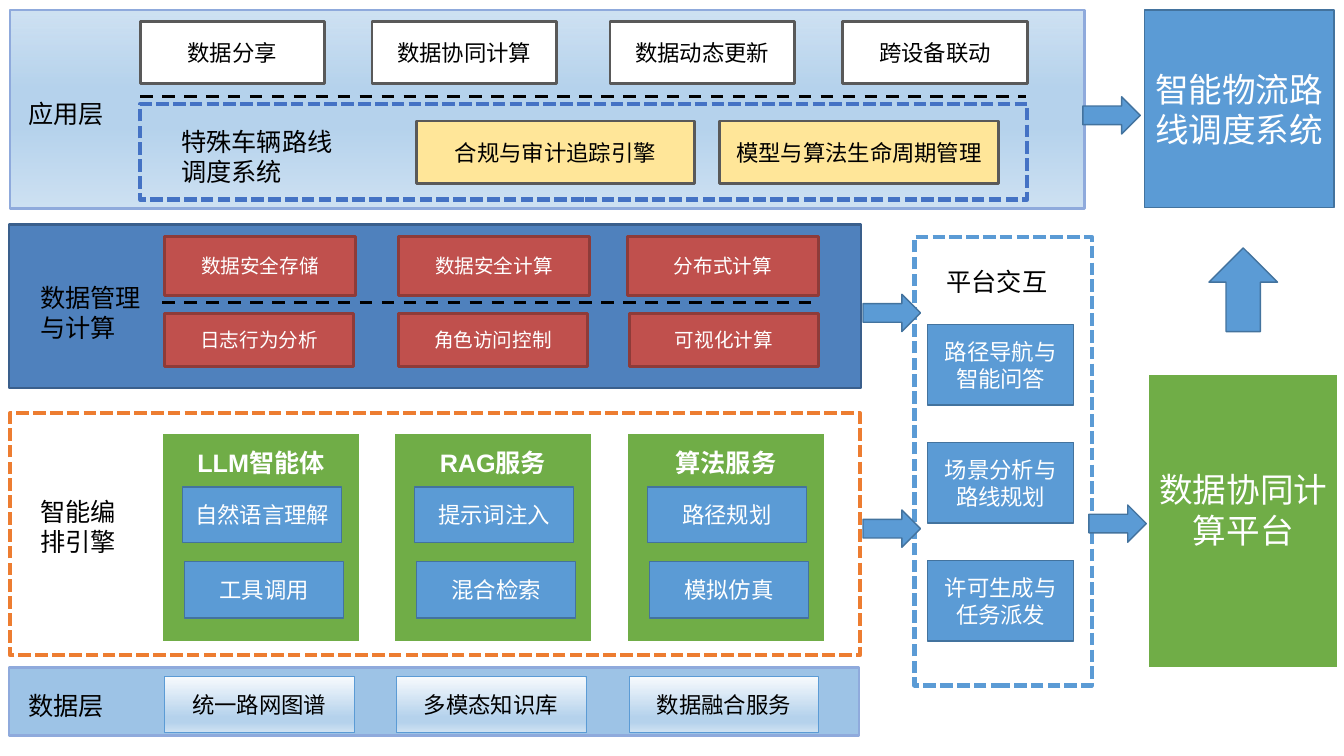
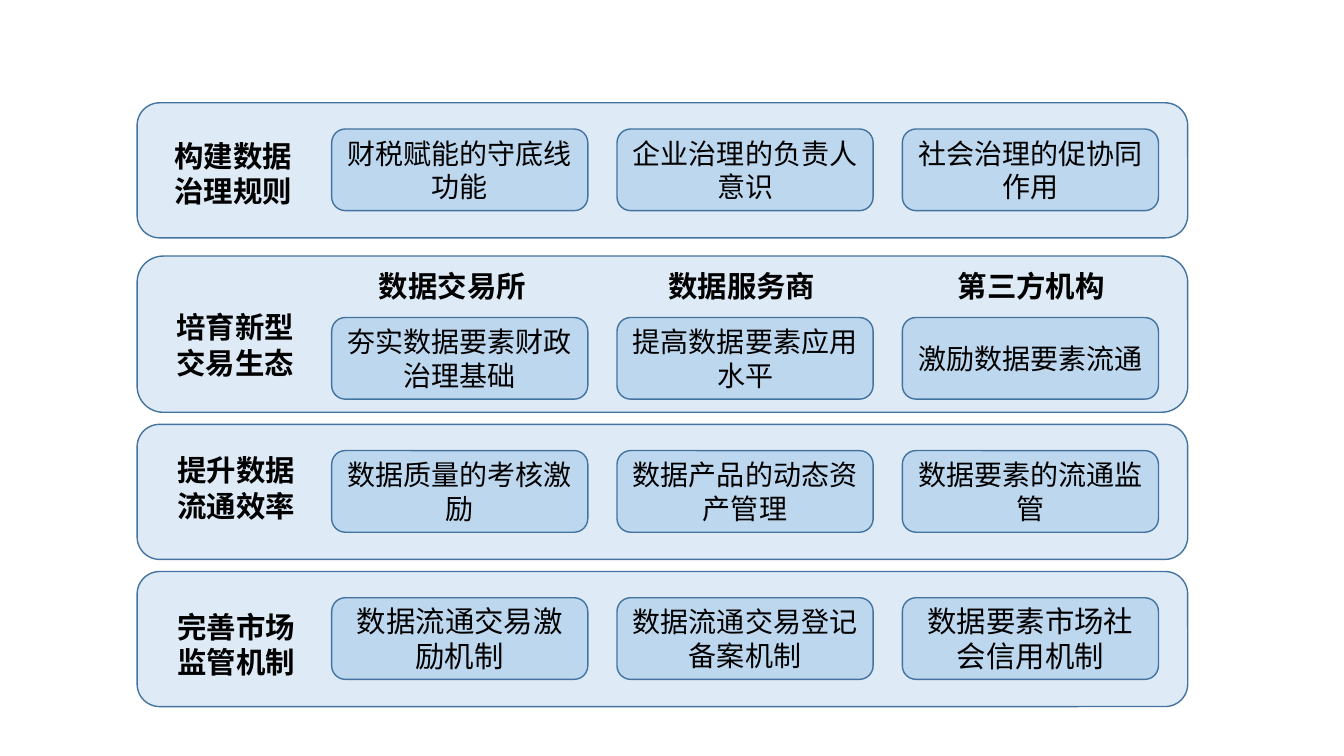
from dataclasses import dataclass

from lxml.etree import SubElement
from pptx import Presentation
from pptx.dml.color import RGBColor
from pptx.enum.dml import MSO_LINE
from pptx.enum.lang import MSO_LANGUAGE_ID
from pptx.enum.shapes import MSO_CONNECTOR, MSO_SHAPE
from pptx.enum.text import MSO_ANCHOR, PP_ALIGN
from pptx.oxml.ns import qn
from pptx.util import Emu, Pt

PX = 9144


@dataclass(frozen=True)
class Theme:
    """Colours, fonts and type sizes shared by both slides."""
    black: str = "000000"
    white: str = "FFFFFF"
    blue: str = "5B9BD5"
    blue_edge: str = "43739E"
    royal: str = "4472C4"
    navy: str = "4F81BD"
    navy_edge: str = "3A5F8C"
    red: str = "C0504D"
    red_edge: str = "8E3B39"
    green: str = "70AD47"
    orange: str = "ED7D31"
    yellow: str = "FFE699"
    grey: str = "595959"
    sky: str = "9DC3E6"
    sky_edge: str = "8FAADC"
    panel: str = "DEEBF7"
    cell: str = "BDD7EE"
    band_stops: tuple = ((1, "B5D2EC", 65), (40, "B5D2EC", 100),
                         (59, "B5D2EC", 100), (100, "CEE1F2", 100))
    data_stops: tuple = ((0, "F7FAFD", 100), (74, "B5D2EC", 100),
                         (83, "B5D2EC", 100), (100, "CEE1F2", 100))
    sans: str = "Arial"
    plain: str = "DejaVu Sans"
    cjk: str = "Noto Sans CJK SC"
    small: int = 14
    body: int = 16
    label: int = 18
    cell_size: int = 20
    head: int = 21
    big: int = 24


T = Theme()


def px(n):
    """Turn a whole number of px into EMU."""
    return Emu(n * PX)


def write(tf, text, size=T.body, font=T.sans, color=T.white, bold=False,
          align=PP_ALIGN.CENTER, anchor=MSO_ANCHOR.MIDDLE, top=5, bottom=5):
    """Fill a text frame, one paragraph for each line of text."""
    tf.word_wrap = True
    tf.vertical_anchor = anchor
    tf.margin_top, tf.margin_bottom = px(top), px(bottom)
    for i, line in enumerate(text.split("\n")):
        p = tf.add_paragraph() if i else tf.paragraphs[0]
        p.alignment = align
        r = p.add_run()
        r.text = line
        f = r.font
        f.size, f.name, f.bold = Pt(size), font, bold
        f.color.rgb = RGBColor.from_string(color)
        f.language_id = MSO_LANGUAGE_ID.SIMPLIFIED_CHINESE
        SubElement(r._r.get_or_add_rPr(), qn("a:ea")).set("typeface", T.sans)


class Deck:
    """Holds the presentation, its style and the current slide."""

    def __init__(self):
        """Start an empty presentation."""
        self.prs = Presentation()
        self.prs.slide_width, self.prs.slide_height = px(1333), px(750)

    def slide(self):
        """Add a blank slide and make it current."""
        self.s = self.prs.slides.add_slide(self.prs.slide_layouts[6])

    def shape(self, box, fill=None, edge=T.blue_edge, width=1, text="",
              kind=MSO_SHAPE.RECTANGLE, dash=None, **fmt):
        """Draw a preset shape; fill is a colour, gradient stops or None."""
        sp = self.s.shapes.add_shape(kind, *map(px, box))
        sp.shadow.inherit = False
        if fill is None:
            sp.fill.background()
        elif isinstance(fill, str):
            sp.fill.solid()
            sp.fill.fore_color.rgb = RGBColor.from_string(fill)
        else:
            self.gradient(sp, fill)
        self.outline(sp.line, edge, width, dash)
        if text:
            write(sp.text_frame, text, **fmt)

    def gradient(self, sp, stops):
        """Fill a shape with stops running from top to bottom."""
        sp.fill.gradient()
        sp.fill.gradient_angle = 270
        gs_list = sp._element.spPr.find(qn("a:gradFill")).find(qn("a:gsLst"))
        for gs in list(gs_list):
            gs_list.remove(gs)
        for pos, color, alpha in stops:
            gs = SubElement(gs_list, qn("a:gs"), pos=str(pos * 1000))
            clr = SubElement(gs, qn("a:srgbClr"), val=color)
            if alpha < 100:
                SubElement(clr, qn("a:alpha"), val=str(alpha * 1000))

    def outline(self, line, color, width, dash=None):
        """Set the colour, width and dash of a line."""
        line.color.rgb = RGBColor.from_string(color)
        line.width = Pt(width)
        if dash:
            line.dash_style = dash

    def frame(self, box, color):
        """Draw an unfilled dashed frame."""
        self.shape(box, edge=color, width=3, dash=MSO_LINE.SQUARE_DOT)

    def chip(self, box, text):
        """Draw a blue box with white text."""
        self.shape(box, T.blue, text=text)

    def arrow(self, box, kind=MSO_SHAPE.RIGHT_ARROW):
        """Draw a blue block arrow."""
        self.shape(box, T.blue, kind=kind)

    def rule(self, x1, x2, y):
        """Draw a horizontal dashed divider."""
        c = self.s.shapes.add_connector(MSO_CONNECTOR.STRAIGHT,
                                        px(x1), px(y), px(x2), px(y))
        self.outline(c.line, T.black, 2.25, MSO_LINE.DASH)
        SubElement(c._element.spPr, qn("a:effectLst"))

    def label(self, box, text, **fmt):
        """Write a left-aligned text box."""
        fmt = {"size": T.label, "font": T.cjk, **fmt}
        tf = self.s.shapes.add_textbox(*map(px, box)).text_frame
        write(tf, text, color=T.black, align=PP_ALIGN.LEFT,
              anchor=MSO_ANCHOR.TOP, **fmt)

    def rounded(self, box, fill, text="", **fmt):
        """Draw a rounded box with black text."""
        self.shape(box, fill, text=text, kind=MSO_SHAPE.ROUNDED_RECTANGLE,
                   color=T.black, **fmt)


def application_layer(d):
    """Draw the top band with its functions and engines."""
    d.shape((10, 10, 1066, 197), T.band_stops, T.sky_edge, 2)
    d.label((18, 93, 142, 40), "应用层")
    d.rule(139, 1018, 96)
    d.frame((139, 103, 880, 95), T.royal)
    d.label((170, 120, 187, 71), "特殊车辆路线\n调度系统")
    boxes = [((x, 21, 183, 62), T.white, text) for x, text in (
        (139, "数据分享"), (369, "数据协同计算"),
        (605, "数据动态更新"), (836, "跨设备联动"))]
    boxes += [((x, 120, 276, 62), T.yellow, text) for x, text in (
        (413, "合规与审计追踪引擎"), (714, "模型与算法生命周期管理"))]
    for box, fill, text in boxes:
        d.shape(box, fill, T.grey, 2, text, font=T.plain, color=T.black)


def management_layer(d):
    """Draw the data management and computing band."""
    d.shape((9, 223, 845, 162), T.navy, T.navy_edge, 2)
    d.label((30, 275, 121, 71), "数据管理\n与计算")
    for y, w, h, cells in (
            (235, 190, 58, ((163, "数据安全存储"), (395, "数据安全计算"),
                            (622, "分布式计算"))),
            (311, 188, 53, ((163, "日志行为分析"), (395, "角色访问控制"),
                            (624, "可视化计算")))):
        for x, text in cells:
            d.shape((x, y, w, h), T.red, T.red_edge, 2, text, size=T.small)
    d.rule(161, 812, 300)


def engine_layer(d):
    """Draw the orchestration engine with its three service cards."""
    d.label((30, 487, 111, 71), "智能编\n排引擎")
    d.frame((10, 410, 843, 240), T.orange)
    for x, title, upper, lower in (
            (161, "LLM智能体", "自然语言理解", "工具调用"),
            (391, "RAG服务", "提示词注入", "混合检索"),
            (622, "算法服务", "路径规划", "模拟仿真")):
        d.shape((x, 430, 196, 207), T.green, T.white, 1.5, title,
                size=T.label, bold=True, anchor=MSO_ANCHOR.TOP, top=14)
        d.chip((x + 20, 483, 158, 55), upper)
        d.chip((x + 22, 557, 158, 56), lower)


def data_layer(d):
    """Draw the bottom data band."""
    d.shape((9, 662, 843, 68), T.sky, T.sky_edge, 2)
    d.label((18, 680, 190, 40), "数据层")
    for x, text in ((163, "统一路网图谱"), (393, "多模态知识库"),
                    (624, "数据融合服务")):
        d.shape((x, 671, 188, 55), T.data_stops, T.blue, 0.25, text,
                font=T.plain, color=T.black)


def platform_side(d):
    """Draw the interaction column, the two systems and the arrows."""
    d.frame((907, 235, 176, 445), T.blue)
    d.label((929, 259, 127, 40), "平台交互")
    for i, text in enumerate(("路径导航与智能问答", "场景分析与路线规划",
                              "许可生成与任务派发")):
        d.chip((920, 322 + 117 * i, 145, 80), text)
    d.shape((1139, 371, 188, 292), T.green, T.white, 1.5, "数据协同计算平台",
            size=T.big, bottom=28)
    d.shape((1135, 10, 188, 196), T.blue, text="智能物流路线调度系统",
            size=T.big)
    for x, y in ((856, 506), (856, 292), (1080, 501), (1074, 96)):
        d.arrow((x, y, 57, 37))
    d.arrow((1199, 246, 68, 83), MSO_SHAPE.UP_ARROW)


def governance(d):
    """Draw the four rows of data governance measures."""
    cols = [329 + 283 * i for i in range(3)]
    bold = {"size": T.head, "font": T.sans, "bold": True}
    size, head = T.cell_size, T.head
    rows = (
        (102, 134, 128, (163, 132), "构建数据治理规则", (
            ("财税赋能的守底线功能", size), ("企业治理的负责人意识", size),
            ("社会治理的促协同作用", size))),
        (254, 155, 315, (165, 302), "培育新型交易生态", (
            ("夯实数据要素财政治理基础", size), ("提高数据要素应用水平", size),
            ("激励数据要素流通", size))),
        (421, 134, 447, (166, 444), "提升数据流通效率", (
            ("数据质量的考核激励", size), ("数据产品的动态资产管理", size),
            ("数据要素的流通监管", size))),
        (567, 134, 593, (166, 599), "完善市场监管机制", (
            ("数据流通交易激励机制", head), ("数据流通交易登记备案机制", size),
            ("数据要素市场社会信用机制", head))))
    for top, height, cell_top, label_at, title, cells in rows:
        d.rounded((136, top, 1042, height), T.panel)
        d.label((*label_at, 156, 81), title, **bold)
        for x, (text, pt) in zip(cols, cells):
            d.rounded((x, cell_top, 254, 81), T.cell, text, size=pt)
    for i, text in enumerate(("数据交易所", "数据服务商", "第三方机构")):
        d.label((366 + 287 * i, 261, 193, 45), text, **bold)


def main():
    """Build both slides and save the file."""
    d = Deck()
    d.slide()
    for draw in (application_layer, management_layer, engine_layer,
                 data_layer, platform_side):
        draw(d)
    d.slide()
    governance(d)
    d.prs.save("out.pptx")


if __name__ == "__main__":
    main()
